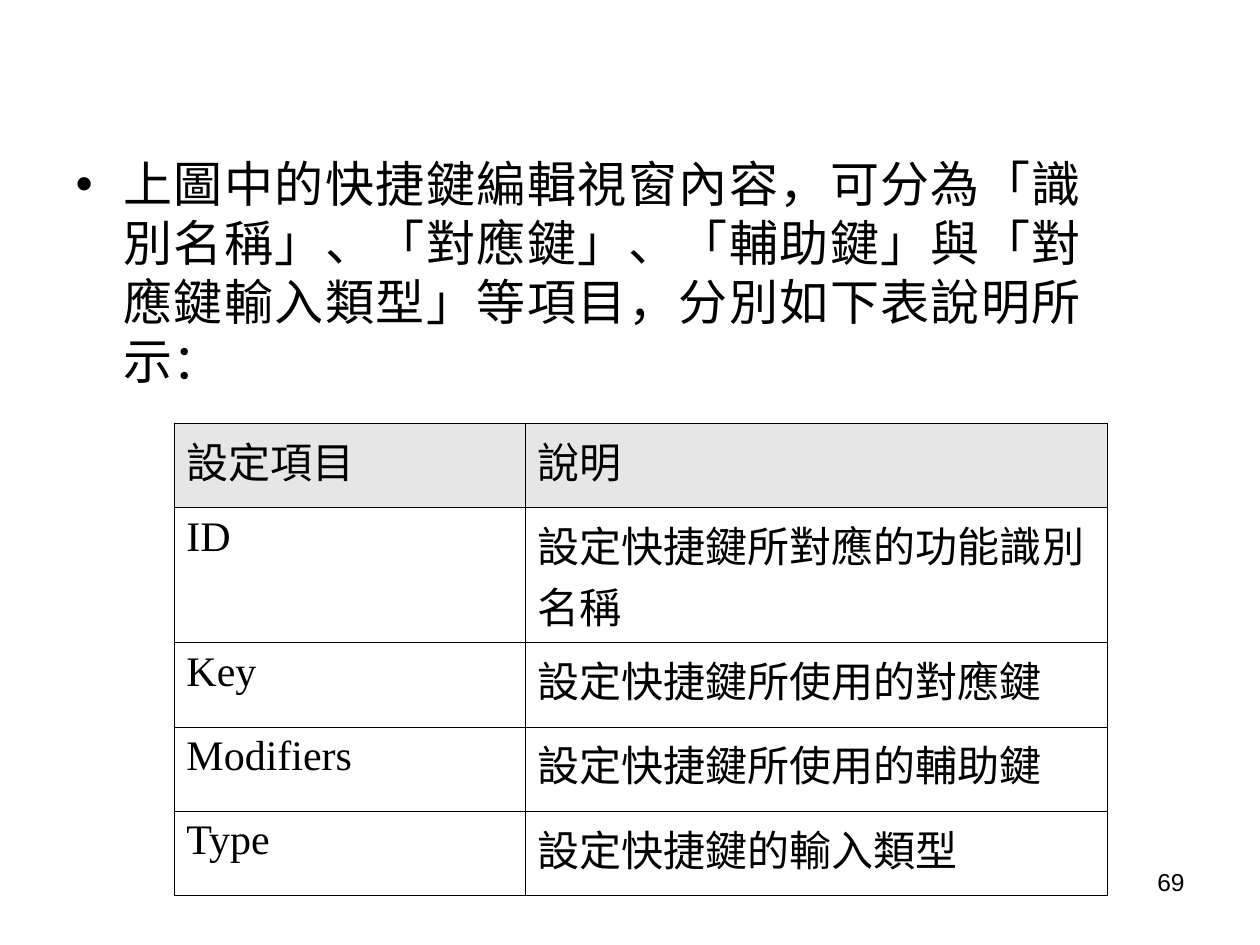
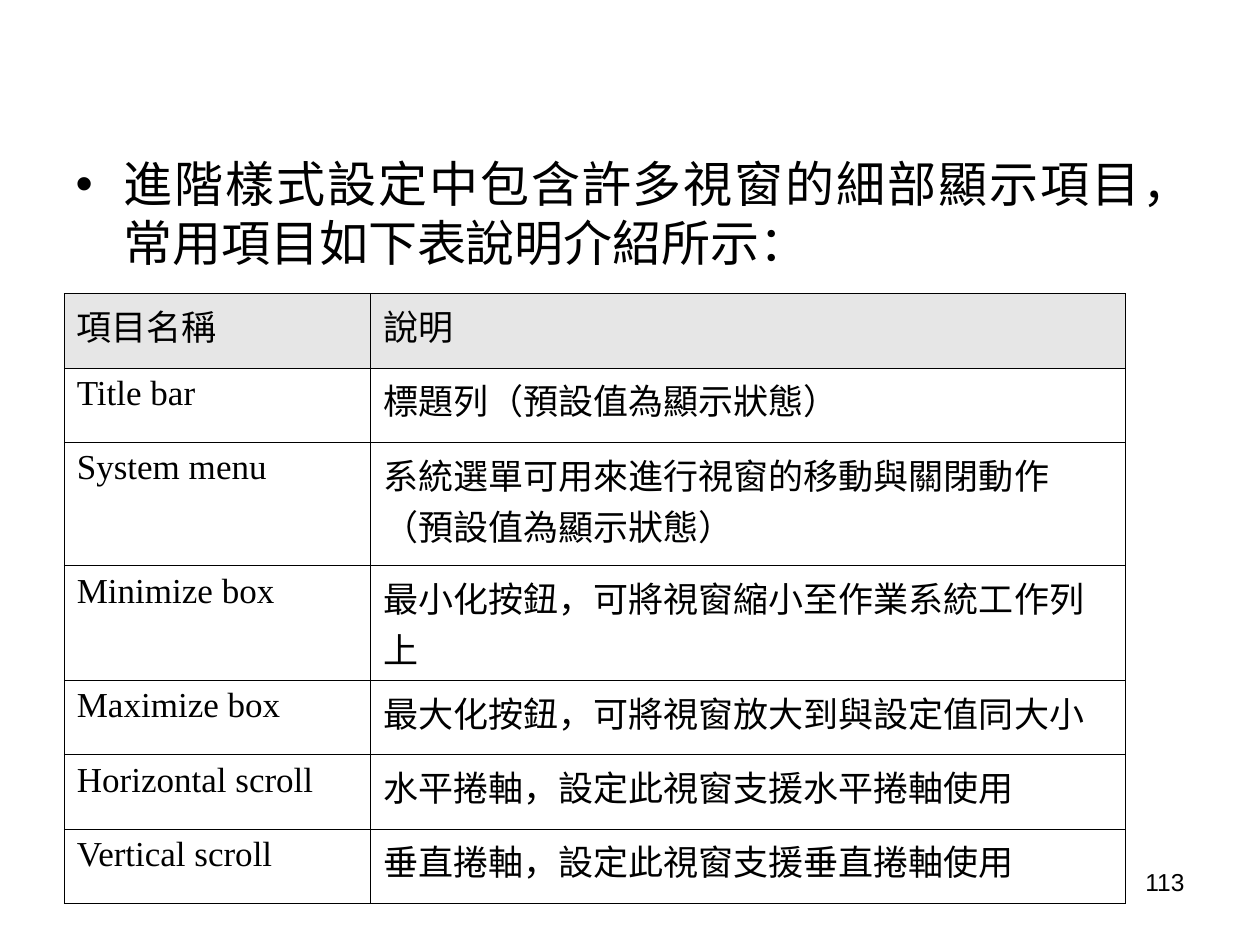
"""Builds two slides that each explain settings with a bullet and a table."""
from dataclasses import dataclass

from lxml import etree
from pptx import Presentation
from pptx.dml.color import RGBColor
from pptx.enum import text
from pptx.oxml import ns
from pptx.util import Inches, Pt

BLACK = RGBColor(0x00, 0x00, 0x00)
HEADER_GREY = RGBColor(0xE6, 0xE6, 0xE6)
BODY_FONT = "Arial"
TABLE_FONT = "Times New Roman"
BORDER_WIDTH = Pt(0.45)
BULLET_INDENT = Inches(0.38)


@dataclass(frozen=True)
class SettingsTable:
    left: float
    top: float
    column_widths: tuple[float, ...]
    row_heights: tuple[float, ...]
    font_size: int
    rows: tuple[tuple[str, str], ...]


@dataclass(frozen=True)
class SettingsSlide:
    number: int
    intro: str
    intro_width: float
    table: SettingsTable


SLIDES = (
    SettingsSlide(
        69,
        "上圖中的快捷鍵編輯視窗內容，可分為「識別名稱」、「對應鍵」、「輔助鍵」與「對應鍵輸入類型」等項目，分別如下表說明所示：",
        8.18,
        SettingsTable(1.38, 3.36, (2.79, 4.62), (0.67, 1.07, 0.67, 0.67, 0.67), 24, (
            ("設定項目", "說明"),
            ("ID", "設定快捷鍵所對應的功能識別名稱"),
            ("Key", "設定快捷鍵所使用的對應鍵"),
            ("Modifiers", "設定快捷鍵所使用的輔助鍵"),
            ("Type", "設定快捷鍵的輸入類型"),
        )),
    ),
    SettingsSlide(
        113,
        "進階樣式設定中包含許多視窗的細部顯示項目，常用項目如下表說明介紹所示：",
        8.67,
        SettingsTable(0.51, 2.33, (2.43, 5.99), (0.59, 0.59, 0.98, 0.91, 0.59, 0.59, 0.59), 20, (
            ("項目名稱", "說明"),
            ("Title bar", "標題列（預設值為顯示狀態）"),
            ("System menu", "系統選單可用來進行視窗的移動與關閉動作（預設值為顯示狀態）"),
            ("Minimize box", "最小化按鈕，可將視窗縮小至作業系統工作列上"),
            ("Maximize box", "最大化按鈕，可將視窗放大到與設定值同大小"),
            ("Horizontal scroll", "水平捲軸，設定此視窗支援水平捲軸使用"),
            ("Vertical scroll", "垂直捲軸，設定此視窗支援垂直捲軸使用"),
        )),
    ),
)


def set_font(paragraph, name: str, size: int) -> None:
    """Give a paragraph its font, size and colour."""
    paragraph.font.name = name
    paragraph.font.size = Pt(size)
    paragraph.font.color.rgb = BLACK


def add_intro(slide, intro: str, width: float) -> None:
    """Fill the body placeholder with one justified bullet."""
    body = slide.placeholders[1]
    body.left, body.top = Inches(0.5), Inches(1.17)
    body.width, body.height = Inches(width), Inches(5.5)
    frame = body.text_frame
    frame.text = intro
    frame.auto_size = text.MSO_AUTO_SIZE.NONE
    paragraph = frame.paragraphs[0]
    paragraph.alignment = text.PP_ALIGN.JUSTIFY
    paragraph.space_before = Pt(0)
    properties = paragraph._p.get_or_add_pPr()
    properties.set("marL", str(BULLET_INDENT))
    properties.set("indent", str(-BULLET_INDENT))
    etree.SubElement(properties, ns.qn("a:buChar")).set("char", "•")
    set_font(paragraph, BODY_FONT, 28)


def add_borders(cell) -> None:
    """Draw a thin black line on every side of a cell."""
    properties = cell._tc.get_or_add_tcPr()
    for position, side in enumerate(("lnL", "lnR", "lnT", "lnB")):
        line = etree.Element(ns.qn(f"a:{side}"), w=str(BORDER_WIDTH))
        fill = etree.SubElement(line, ns.qn("a:solidFill"))
        etree.SubElement(fill, ns.qn("a:srgbClr"), val=str(BLACK))
        properties.insert(position, line)


def add_settings_table(slide, settings: SettingsTable) -> None:
    """Add a bordered table with a grey header row."""
    table = slide.shapes.add_table(
        len(settings.rows), len(settings.column_widths),
        Inches(settings.left), Inches(settings.top),
        Inches(sum(settings.column_widths)), Inches(sum(settings.row_heights)),
    ).table
    for column, width in zip(table.columns, settings.column_widths):
        column.width = Inches(width)
    for index, (row, height) in enumerate(zip(table.rows, settings.row_heights)):
        row.height = Inches(height)
        for cell, content in zip(row.cells, settings.rows[index]):
            cell.text = content
            set_font(cell.text_frame.paragraphs[0], TABLE_FONT, settings.font_size)
            if index == 0:
                cell.fill.solid()
                cell.fill.fore_color.rgb = HEADER_GREY
            else:
                cell.fill.background()
            add_borders(cell)


def add_slide_number(slide, number: int) -> None:
    """Write the slide number at the bottom right."""
    frame = slide.shapes.add_textbox(
        Inches(7.17), Inches(6.83), Inches(2.33), Inches(0.52)).text_frame
    frame.word_wrap = True
    frame.text = str(number)
    paragraph = frame.paragraphs[0]
    paragraph.alignment = text.PP_ALIGN.RIGHT
    set_font(paragraph, BODY_FONT, 14)


def main() -> None:
    """Build and save the presentation."""
    presentation = Presentation()
    presentation.slide_width, presentation.slide_height = Inches(10), Inches(7.5)
    content_layout = presentation.slide_layouts[1]
    for content in SLIDES:
        slide = presentation.slides.add_slide(content_layout)
        title = slide.shapes.title.element
        title.getparent().remove(title)
        add_intro(slide, content.intro, content.intro_width)
        add_settings_table(slide, content.table)
        add_slide_number(slide, content.number)
    presentation.save("out.pptx")


if __name__ == "__main__":
    main()
